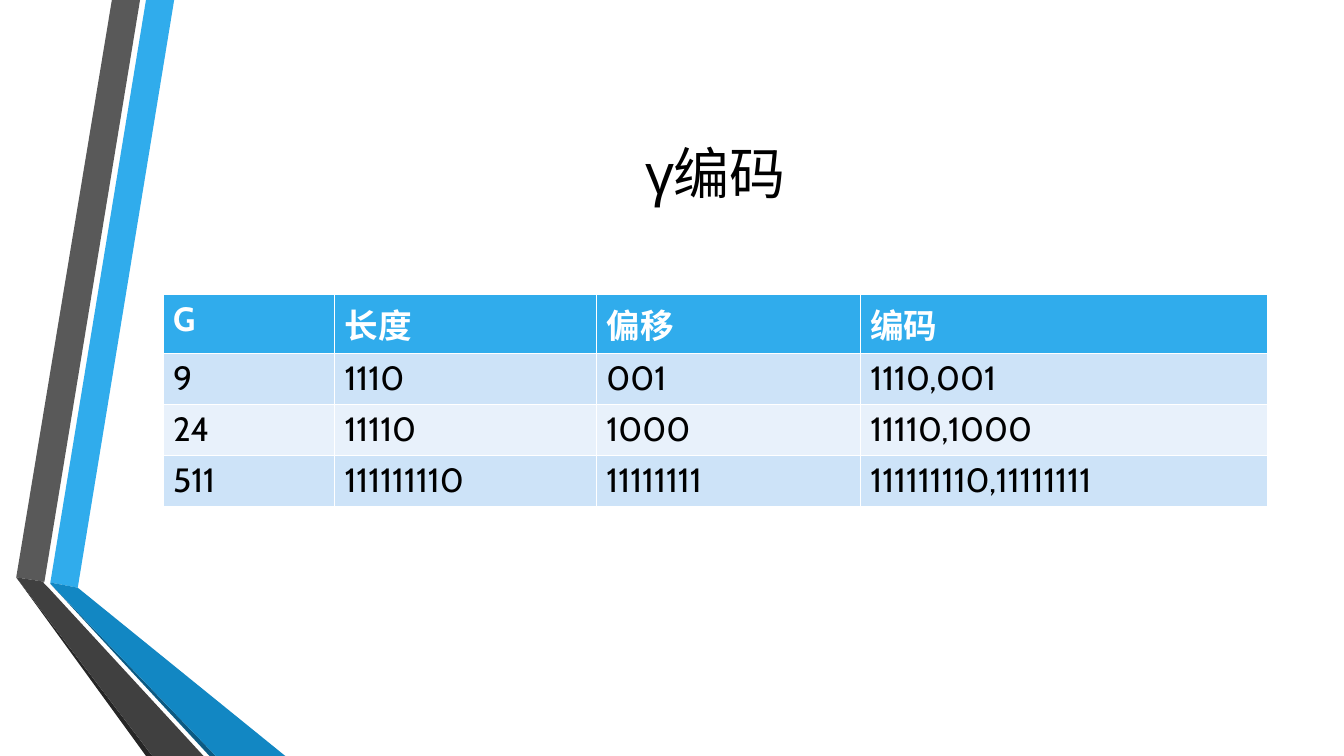
import pptx
import pptx.dml.color
import pptx.enum.text
import pptx.util

Cm = pptx.util.Cm

COLORS = {
    "white": "FFFFFF", "black": "000000",
    "blue": "30ACEC", "blue_fold": "1287C3", "blue_edge": "0C5A82",
    "gray": "595959", "gray_fold": "404040", "gray_edge": "262626",
    "band_dark": "CDE3F8", "band_light": "E8F1FB",
}
RIBBONS = [
    ("blue", [(1.27, 14.68), (1.96, 14.81), (4.39, 0), (3.68, 0)]),
    ("gray", [(3.53, 0), (2.82, 0), (0.41, 14.55), (1.12, 14.66)]),
    ("gray_edge", [(0.41, 14.55), (3.68, 19.05), (3.84, 19.05)]),
    ("blue_edge", [(1.27, 14.71), (5.28, 19.05), (5.44, 19.05)]),
    ("blue_fold", [(1.27, 14.68), (1.27, 14.71), (5.44, 19.05),
                   (7.19, 19.05), (1.96, 14.81)]),
    ("gray_fold", [(5.13, 19.05), (1.22, 14.81), (1.09, 14.68),
                   (1.12, 14.66), (0.41, 14.55), (3.84, 19.05)]),
]
CODES = [
    ("G", "长度", "偏移", "编码"),
    ("9", "1110", "001", "1110,001"),
    ("24", "11110", "1000", "11110,1000"),
    ("511", "111111110", "11111111", "111111110,11111111"),
]


class Deck:
    """Holds the style and the current slide, and draws each kind of element."""

    font = "Cabin"

    def __init__(self, prs):
        self.s = prs.slides.add_slide(prs.slide_layouts[5])

    def color(self, name):
        return pptx.dml.color.RGBColor.from_string(COLORS[name])

    def fill(self, item, name):
        item.fill.solid()
        item.fill.fore_color.rgb = self.color(name)

    def style(self, p, size, color, bold=False):
        p.font.name = self.font
        p.font.size = pptx.util.Pt(size)
        p.font.bold = bold
        p.font.color.rgb = self.color(color)

    def ribbon(self, color, points):
        start, *rest = [(Cm(x), Cm(y)) for x, y in points]
        builder = self.s.shapes.build_freeform(*start)
        builder.add_line_segments(rest)
        sp = builder.convert_to_shape()
        sp.shadow.inherit = False
        self.fill(sp, color)
        sp.line.fill.background()

    def title(self, text, left, top, width, height):
        sp = self.s.shapes.title
        sp.left, sp.top, sp.width, sp.height = map(Cm, (left, top, width, height))
        tf = sp.text_frame
        tf.text = text
        tf.vertical_anchor = pptx.enum.text.MSO_ANCHOR.MIDDLE
        p = tf.paragraphs[0]
        p.alignment = pptx.enum.text.PP_ALIGN.CENTER
        self.style(p, 40, "black")

    def table(self, rows, left, top, widths, heights):
        frame = self.s.shapes.add_table(
            len(rows), len(widths), Cm(left), Cm(top),
            Cm(sum(widths)), Cm(sum(heights)))
        table = frame.table
        for column, width in zip(table.columns, widths):
            column.width = Cm(width)
        for i, (row, height) in enumerate(zip(rows, heights)):
            table.rows[i].height = Cm(height)
            header = i == 0
            band = "blue" if header else "band_dark" if i % 2 else "band_light"
            for j, text in enumerate(row):
                cell = table.cell(i, j)
                cell.text = text
                self.fill(cell, band)
                self.style(cell.text_frame.paragraphs[0], 24,
                           "white" if header else "black", header)


def main():
    prs = pptx.Presentation()
    prs.slide_width, prs.slide_height = Cm(33.87), Cm(19.05)
    deck = Deck(prs)
    for color, points in RIBBONS:
        deck.ribbon(color, points)
    deck.title("γ编码", 4.11, 1.9, 27.84, 4.88)
    deck.table(CODES, 4.11, 7.42, [4.32, 6.6, 6.65, 10.26],
               [1.46] + [1.28] * 3)
    prs.save("out.pptx")


if __name__ == "__main__":
    main()
